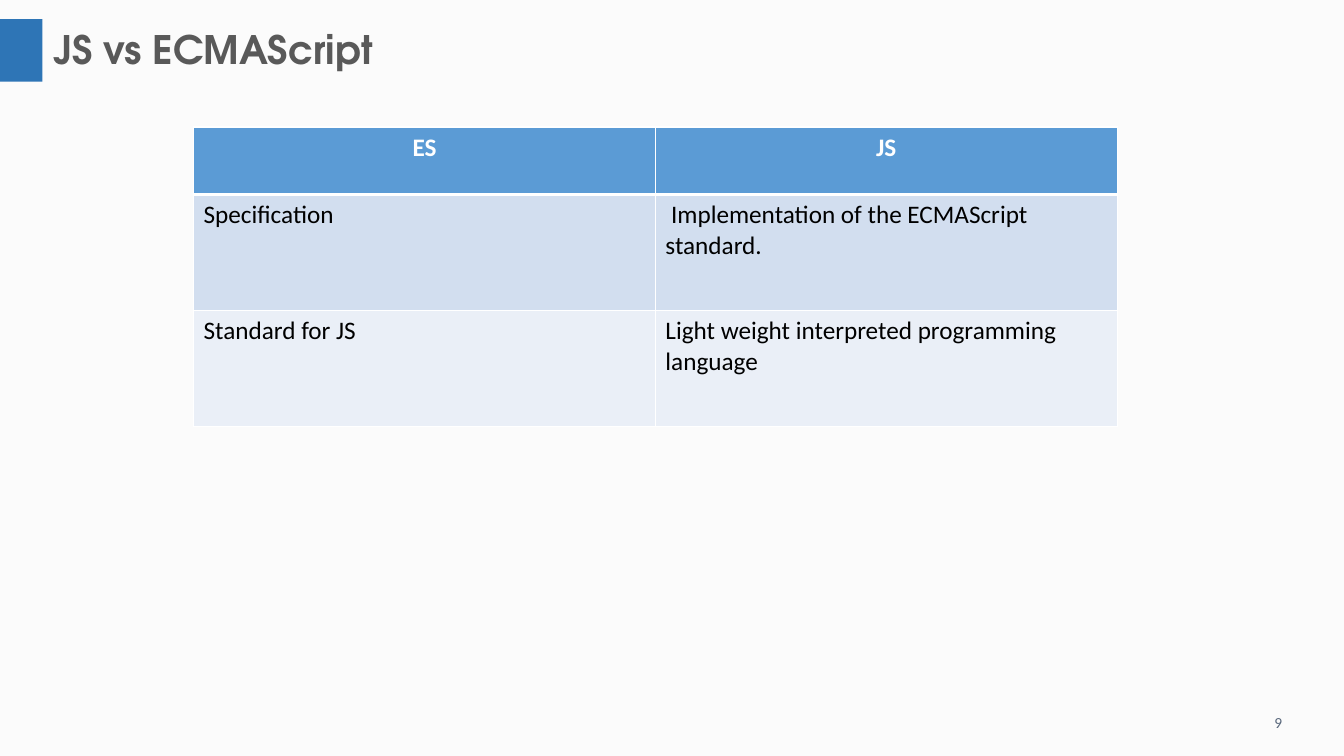
from lxml import etree
from pptx import Presentation
from pptx.dml.color import RGBColor
from pptx.enum.shapes import MSO_SHAPE
from pptx.enum.text import MSO_ANCHOR, MSO_AUTO_SIZE, PP_ALIGN
from pptx.oxml.ns import qn
from pptx.util import Inches, Pt

RECTANGLE = MSO_SHAPE.RECTANGLE
MIDDLE, TOP = MSO_ANCHOR.MIDDLE, MSO_ANCHOR.TOP
NO_AUTOFIT = MSO_AUTO_SIZE.NONE
LEFT, CENTER = PP_ALIGN.LEFT, PP_ALIGN.CENTER
TITLE_ONLY = 5


def color(value):
    return RGBColor.from_string(value)


class SlideBuilder:
    title_font = {"name": "TeX Gyre Adventor", "size": Pt(28), "bold": True}
    header_font = {"name": "Calibri", "size": Pt(18), "bold": True}
    body_font = {"name": "Calibri", "size": Pt(18), "bold": False}
    number_font = {"name": "Calibri", "size": Pt(11)}
    header_fill = "5B9BD5"
    band_fills = ("D2DEEF", "EAEFF7")
    border_color = "FFFFFF"

    def __init__(self, presentation):
        self.slide = presentation.slides.add_slide(presentation.slide_layouts[TITLE_ONLY])

    def background(self, fill):
        self.slide.background.fill.solid()
        self.slide.background.fill.fore_color.rgb = color(fill)

    def set_text(self, frame, text, font, text_color, alignment=LEFT):
        frame.word_wrap = True
        paragraph = frame.paragraphs[0]
        paragraph.text = text
        paragraph.alignment = alignment
        for name, value in font.items():
            setattr(paragraph.font, name, value)
        paragraph.font.color.rgb = color(text_color)
        return paragraph

    def rectangle(self, left, top, width, height, fill):
        shape = self.slide.shapes.add_shape(
            RECTANGLE, Inches(left), Inches(top), Inches(width), Inches(height))
        shape.shadow.inherit = False
        shape.fill.solid()
        shape.fill.fore_color.rgb = color(fill)
        shape.line.fill.background()

    def title(self, text, left, top, width, height):
        title = self.slide.shapes.title
        position = {"left": left, "top": top, "width": width, "height": height}
        for name, value in position.items():
            setattr(title, name, Inches(value))
        title.text_frame.auto_size = NO_AUTOFIT
        title.text_frame.vertical_anchor = MIDDLE
        paragraph = self.set_text(title.text_frame, text, self.title_font, "595959")
        paragraph.line_spacing = 0.9

    def text(self, text, left, top, width, height):
        box = self.slide.shapes.add_textbox(
            Inches(left), Inches(top), Inches(width), Inches(height))
        self.set_text(box.text_frame, text, self.number_font, "58677B")

    def borders(self, cell, widths):
        properties = cell._tc.get_or_add_tcPr()
        for index, (side, width) in enumerate(widths.items()):
            line = etree.Element(qn(f"a:{side}"), w=str(Pt(width)))
            fill = etree.SubElement(line, qn("a:solidFill"))
            etree.SubElement(fill, qn("a:srgbClr"), val=self.border_color)
            properties.insert(index, line)

    def table(self, rows, left, top, column_width, row_heights):
        columns = len(rows[0])
        table = self.slide.shapes.add_table(
            len(rows), columns, Inches(left), Inches(top),
            Inches(column_width * columns), Inches(sum(row_heights))).table
        for column in table.columns:
            column.width = Inches(column_width)
        for row_index, values in enumerate(rows):
            table.rows[row_index].height = Inches(row_heights[row_index])
            header = row_index == 0
            fill = self.header_fill if header else self.band_fills[(row_index - 1) % 2]
            font = self.header_font if header else self.body_font
            widths = {"lnL": 1, "lnR": 1, "lnT": 3 if row_index == 1 else 1,
                      "lnB": 3 if header else 1}
            for column_index, value in enumerate(values):
                cell = table.cell(row_index, column_index)
                cell.vertical_anchor = TOP
                cell.fill.solid()
                cell.fill.fore_color.rgb = color(fill)
                self.borders(cell, widths)
                self.set_text(cell.text_frame, value, font,
                              "FFFFFF" if header else "000000",
                              CENTER if header else LEFT)


def main():
    presentation = Presentation()
    presentation.slide_width = Inches(13.33)
    presentation.slide_height = Inches(7.5)
    builder = SlideBuilder(presentation)
    builder.background("FBFBFB")
    builder.text("9", 12.54, 7.03, 0.45, 0.29)
    builder.rectangle(0, 0.19, 0.42, 0.62, "2E75B6")
    builder.title("JS vs ECMAScript", 0.43, 0.24, 12.9, 0.55)
    builder.table(
        [("ES", "JS"),
         ("Specification", " Implementation of the ECMAScript standard."),
         ("Standard for JS", "Light weight interpreted programming language")],
        1.92, 1.26, 4.58, (0.67, 1.15, 1.15))
    presentation.save("out.pptx")


if __name__ == "__main__":
    main()
